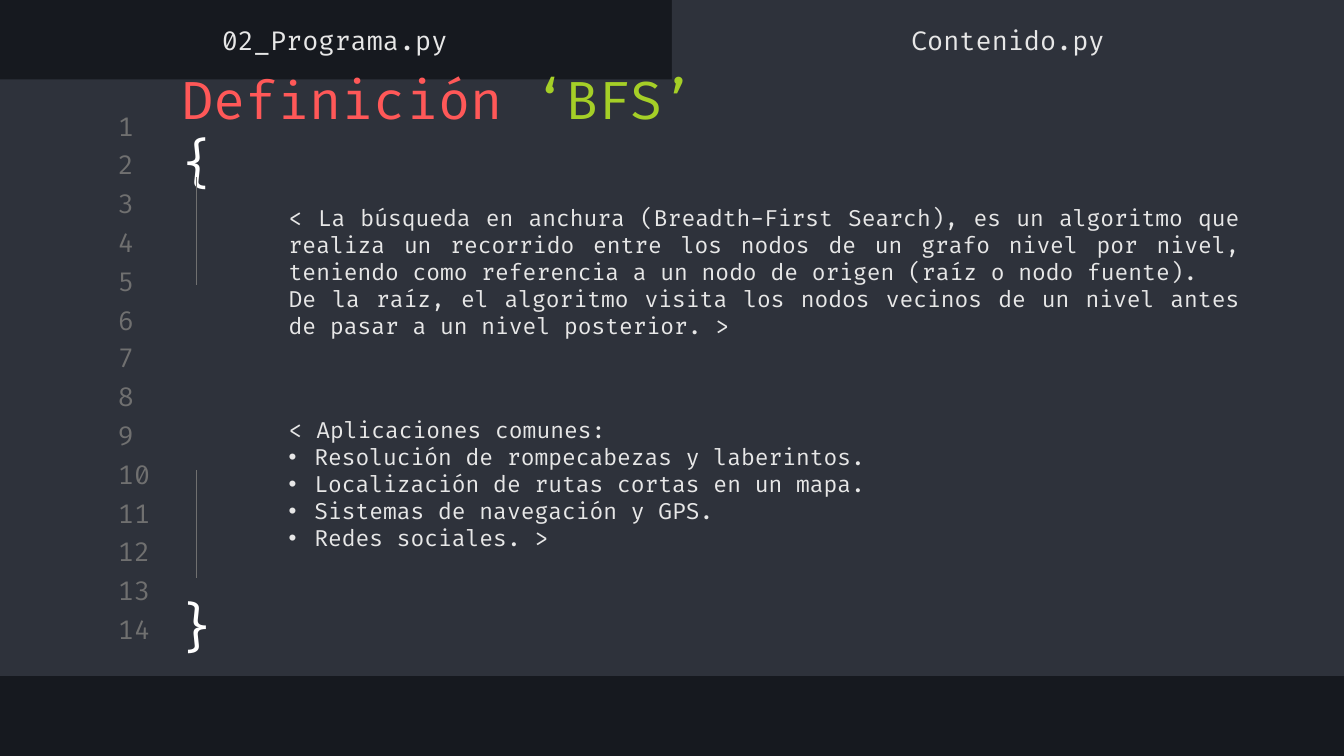
from lxml.etree import SubElement
from pptx import Presentation
from pptx.dml.color import RGBColor
from pptx.enum.shapes import MSO_CONNECTOR, MSO_SHAPE
from pptx.enum.text import MSO_ANCHOR, PP_ALIGN
from pptx.oxml.ns import qn
from pptx.util import Emu, Pt

EMU_PER_PX = 9144  # 100 px to the inch

DARK, PANEL, GREY, LIGHT = "16191F", "2E323B", "707070", "E7E7E7"
RED, GREEN, WHITE = "FF5858", "A5CF27", "FFFFFF"


def px(length):
    return Emu(length * EMU_PER_PX)


def color(hex_code):
    return RGBColor.from_string(hex_code)


class CodeSlide:
    font = "Fira Code"
    inset = px(10)
    hanging = px(19)

    def __init__(self, presentation):
        self.slide = presentation.slides.add_slide(presentation.slide_layouts[6])
        fill = self.slide.background.fill
        fill.solid()
        fill.fore_color.rgb = color(DARK)

    def panel(self, left, top, width, height):
        shape = self.slide.shapes.add_shape(
            MSO_SHAPE.RECTANGLE, px(left), px(top), px(width), px(height))
        shape.shadow.inherit = False
        shape.fill.solid()
        shape.fill.fore_color.rgb = color(PANEL)
        shape.line.fill.background()

    def guide(self, x, top, bottom):
        line = self.slide.shapes.add_connector(
            MSO_CONNECTOR.STRAIGHT, px(x), px(top), px(x), px(bottom))
        line.line.color.rgb = color(GREY)
        line.line.width = Pt(0.75)
        SubElement(line._element.spPr, qn("a:effectLst"))

    def bullet(self, paragraph):
        properties = paragraph._p.get_or_add_pPr()
        properties.set("marL", str(self.hanging))
        properties.set("indent", str(-self.hanging))
        bullet_color = SubElement(properties, qn("a:buClr"))
        SubElement(bullet_color, qn("a:srgbClr"), val=LIGHT)
        SubElement(properties, qn("a:buFont"), typeface="Arial")
        SubElement(properties, qn("a:buChar"), char="•")

    def text(self, left, top, width, height, paragraphs, size,
             align=PP_ALIGN.LEFT, anchor=MSO_ANCHOR.MIDDLE, first_bullet=None):
        """Each paragraph is a list of (text, color) runs."""
        box = self.slide.shapes.add_textbox(px(left), px(top), px(width), px(height))
        frame = box.text_frame
        frame.word_wrap = True
        frame.vertical_anchor = anchor
        frame.margin_left = frame.margin_right = self.inset
        frame.margin_top = frame.margin_bottom = self.inset
        for index, runs in enumerate(paragraphs):
            paragraph = frame.add_paragraph() if index else frame.paragraphs[0]
            paragraph.alignment = align
            if first_bullet is not None and index >= first_bullet:
                self.bullet(paragraph)
            for words, hex_code in runs:
                run = paragraph.add_run()
                run.text = words
                run.font.name = self.font
                run.font.size = Pt(size)
                run.font.color.rgb = color(hex_code)

    def tab(self, left, name):
        self.text(left, 10, 500, 39, [[(name, LIGHT)]], 14, PP_ALIGN.CENTER)

    def body(self, top, lines, first_bullet=None):
        self.text(205, top, 728, 86, [[(line, LIGHT)] for line in lines], 12,
                  PP_ALIGN.JUSTIFY, first_bullet=first_bullet)


def main():
    presentation = Presentation()
    presentation.slide_width, presentation.slide_height = px(1000), Emu(5143500)
    slide = CodeSlide(presentation)

    # Editor area and active tab
    slide.panel(0, 59, 1000, 444)
    slide.panel(500, 0, 500, 65)

    # Line numbers
    for index in range(14):
        slide.text(78, round(81.6 + 28.8 * index), 47, 24,
                   [[(str(index + 1), GREY)]], 14)

    # Definition
    slide.body(159, [
        "< La búsqueda en anchura (Breadth-First Search), es un algoritmo que "
        "realiza un recorrido entre los nodos de un grafo nivel por nivel, "
        "teniendo como referencia a un nodo de origen (raíz o nodo fuente).",
        "De la raíz, el algoritmo visita los nodos vecinos de un nivel antes "
        "de pasar a un nivel posterior. >",
    ])

    # Title with opening brace
    slide.text(125, 68, 444, 58,
               [[("Definición ", RED), ("‘BFS’ ", GREEN), ("{", WHITE)]], 28)
    slide.tab(500, "Contenido.py")

    # Indent guides and closing brace
    slide.guide(146, 350, 430)
    slide.text(119, 432, 55, 67, [[("}", WHITE)]], 28,
               PP_ALIGN.CENTER, MSO_ANCHOR.TOP)
    slide.guide(146, 132, 212)
    slide.tab(-1, "02_Programa.py")

    # Applications
    slide.body(317, [
        "< Aplicaciones comunes:",
        "Resolución de rompecabezas y laberintos.",
        "Localización de rutas cortas en un mapa.",
        "Sistemas de navegación y GPS.",
        "Redes sociales. >",
    ], first_bullet=1)

    presentation.save("out.pptx")


if __name__ == "__main__":
    main()
